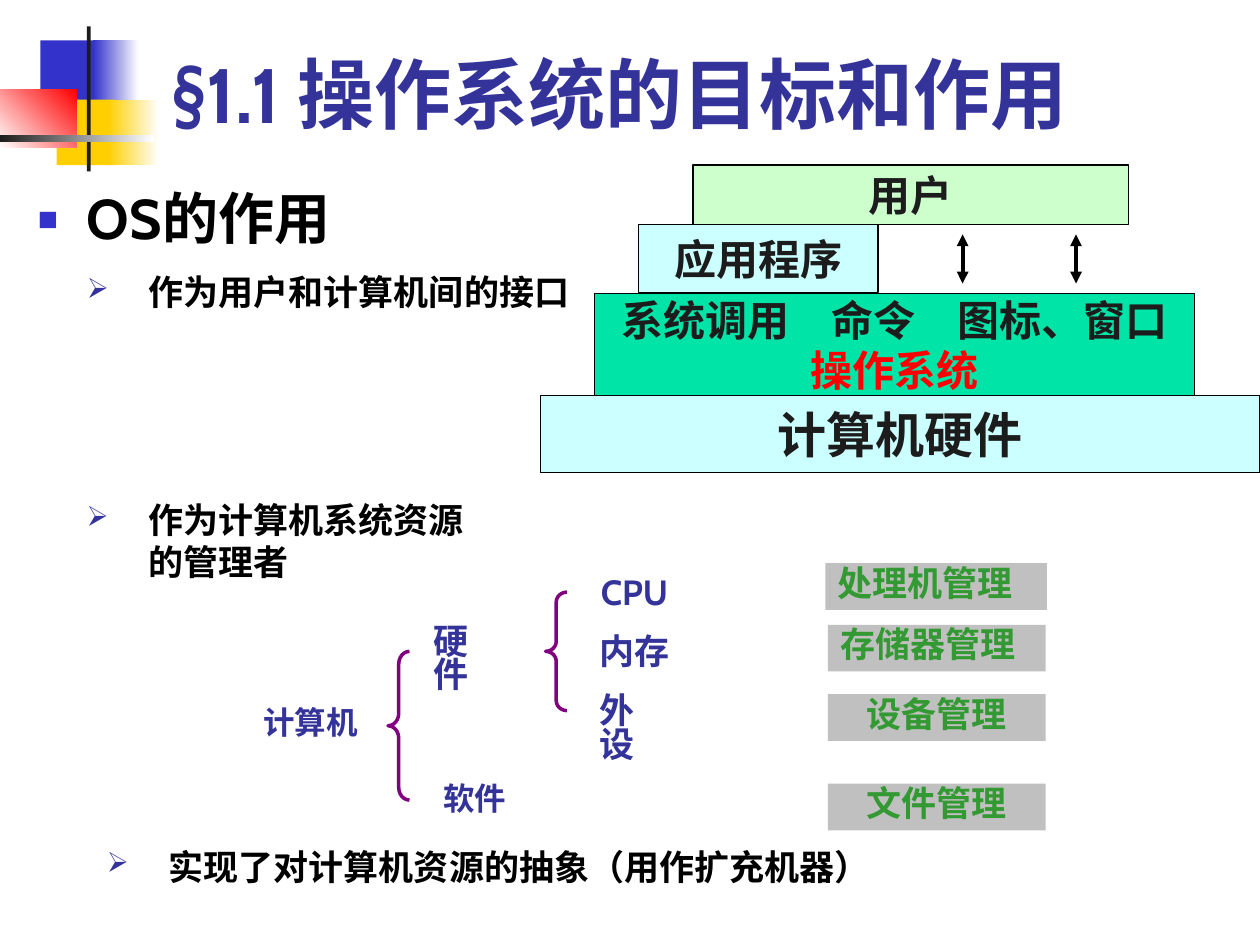
from lxml.etree import SubElement
from pptx import Presentation
from pptx.dml.color import RGBColor
from pptx.enum.shapes import MSO_CONNECTOR, MSO_SHAPE
from pptx.enum.text import MSO_ANCHOR, MSO_AUTO_SIZE, PP_ALIGN
from pptx.oxml.ns import qn
from pptx.util import Inches, Pt

NAVY, GREEN, PURPLE = "333399", "339933", "800080"
BLACK, INK, WHITE, RED = "000000", "1C1C1C", "FFFFFF", "FF0000"
BLUE, YELLOW, GREY, AQUA = "3333CC", "FFCF01", "C0C0C0", "CCFFFF"
FREE = {"auto_size": MSO_AUTO_SIZE.NONE, "word_wrap": True}
GROW = {"auto_size": MSO_AUTO_SIZE.SHAPE_TO_FIT_TEXT, "word_wrap": True}
GROW_UNWRAPPED = {**GROW, "word_wrap": False}
MIDDLE = {**FREE, "word_wrap": False, "vertical_anchor": MSO_ANCHOR.MIDDLE}
LEFT = {"alignment": PP_ALIGN.LEFT, "space_before": Pt(0)}
CENTER = {**LEFT, "alignment": PP_ALIGN.CENTER}
TIGHT = {**LEFT, "line_spacing": 0.8}


def color(value):
    return RGBColor.from_string(value)


def apply(target, formats):
    for name, value in formats.items():
        setattr(target, name, value)


class SlideBuilder:
    font = "Cabin"

    def __init__(self, slide):
        self.slide = slide

    def add_lines(self, holder, lines, size, frame_format, paragraph_format, bullet=None):
        frame = holder.text_frame
        apply(frame, frame_format)
        for index, (text, tint) in enumerate(lines):
            paragraph = frame.add_paragraph() if index else frame.paragraphs[0]
            if bullet:
                self.bullet(paragraph, *bullet)
            apply(paragraph, paragraph_format)
            run = paragraph.add_run()
            run.text = text
            apply(run.font, {"name": self.font, "size": Pt(size), "bold": True})
            run.font.color.rgb = color(tint)

    def bullet(self, paragraph, mark, tint, percent, indent):
        properties = paragraph._p.get_or_add_pPr()
        properties.set("marL", str(Inches(indent)))
        properties.set("indent", str(-Inches(indent)))
        tint_node = SubElement(properties, qn("a:buClr"))
        SubElement(tint_node, qn("a:srgbClr")).set("val", tint)
        SubElement(properties, qn("a:buSzPct")).set("val", str(percent * 1000))
        SubElement(properties, qn("a:buChar")).set("char", mark)

    def placeholder(self, holder, box, *text):
        apply(holder, dict(zip(("left", "top", "width", "height"), map(Inches, box))))
        self.add_lines(holder, *text)

    def text(self, box, *text):
        self.add_lines(self.slide.shapes.add_textbox(*map(Inches, box)), *text)

    def rect(self, box, fill, line=None):
        shape = self.slide.shapes.add_shape(MSO_SHAPE.RECTANGLE, *map(Inches, box))
        shape.shadow.inherit = False
        shape.fill.solid()
        shape.fill.fore_color.rgb = color(fill)
        if line:
            shape.line.color.rgb = color(line)
            shape.line.width = Pt(0.75)
        else:
            shape.line.fill.background()
        return shape

    def gradient(self, box, start, end, angle=0):
        fill = self.rect(box, start).fill
        fill.gradient()
        fill.gradient_angle = angle
        for stop, tint in zip(fill.gradient_stops, (start, end)):
            stop.color.rgb = color(tint)

    def brace(self, box, curl):
        shape = self.slide.shapes.add_shape(MSO_SHAPE.LEFT_BRACE, *map(Inches, box))
        shape.shadow.inherit = False
        shape.adjustments[0] = curl
        shape.fill.background()
        shape.line.color.rgb = color(PURPLE)
        shape.line.width = Pt(2)

    def double_arrow(self, x, top, bottom):
        arrow = self.slide.shapes.add_connector(
            MSO_CONNECTOR.STRAIGHT, Inches(x), Inches(top), Inches(x), Inches(bottom))
        arrow.line.color.rgb = color(BLACK)
        arrow.line.width = Pt(2.25)
        outline = arrow.line._get_or_add_ln()
        for end in ("a:headEnd", "a:tailEnd"):
            SubElement(outline, qn(end)).set("type", "triangle")
        SubElement(arrow._element.spPr, qn("a:effectLst"))


def draw_ornament(builder):
    builder.rect((0.32, 0.32, 0.48, 0.52), BLUE)
    builder.gradient((0.74, 0.32, 0.36, 0.52), BLUE, WHITE)
    builder.rect((0.45, 0.79, 0.46, 0.52), YELLOW)
    builder.gradient((0.86, 0.79, 0.4, 0.52), YELLOW, WHITE)
    builder.gradient((0, 0.71, 0.61, 0.46), WHITE, RED, 45)
    builder.rect((0.69, 0.21, 0.03, 1.15), INK)
    builder.gradient((0, 1.07, 1.22, 0.06), INK, WHITE)


def draw_roles(builder):
    title, body = builder.slide.placeholders
    builder.placeholder(title, (1.26, 0.36, 8.52, 0.79), [("§1.1 操作系统的目标和作用", NAVY)],
                        44, {**FREE, "vertical_anchor": MSO_ANCHOR.BOTTOM}, LEFT)
    builder.placeholder(body, (0.2, 1.47, 4.33, 0.63), [("OS的作用", BLACK)], 32, FREE,
                        {**LEFT, "line_spacing": 0.9}, ("■", BLUE, 60, 0.39))
    for role, box in (
        ("作为用户和计算机间的接口", (0.59, 2.1, 5.31, 0.55)),
        ("作为计算机系统资源的管理者", (0.59, 3.91, 3.23, 0.63)),
        ("实现了对计算机资源的抽象（用作扩充机器）", (0.75, 6.66, 7.87, 0.63)),
    ):
        builder.text(box, [(role, BLACK)], 20, FREE, LEFT, ("➢", NAVY, 80, 0.49))


def draw_resources(builder):
    for resource, box, size, frame_format in (
        ("计算机", (1.99, 5.59, 1.18, 0.34), 18, GROW),
        ("硬件", (3.34, 4.93, 0.75, 0.37), 20, GROW_UNWRAPPED),
        ("软件", (3.42, 6.19, 0.7, 0.34), 18, GROW_UNWRAPPED),
        ("CPU", (4.67, 4.54, 0.76, 0.37), 20, GROW_UNWRAPPED),
        ("内存", (4.66, 5.01, 0.8, 0.37), 20, GROW),
        ("外设", (4.66, 5.48, 0.75, 0.37), 20, GROW_UNWRAPPED),
    ):
        builder.text(box, [(resource, NAVY)], size, frame_format, TIGHT)
    builder.brace((3.08, 5.17, 0.17, 1.18), 0.58)
    builder.brace((4.33, 4.7, 0.17, 0.94), 0.46)
    for manager, left, top, width, alignment in (
        ("处理机管理", 6.55, 4.47, 1.76, PP_ALIGN.LEFT),
        ("存储器管理", 6.57, 4.96, 1.73, PP_ALIGN.LEFT),
        ("设备管理", 6.57, 5.51, 1.73, PP_ALIGN.CENTER),
        ("文件管理", 6.57, 6.22, 1.73, PP_ALIGN.CENTER),
    ):
        builder.add_lines(builder.rect((left, top, width, 0.37), GREY), [(manager, GREEN)], 20,
                          {**GROW, "vertical_anchor": MSO_ANCHOR.TOP},
                          {**TIGHT, "alignment": alignment})


def draw_layers(builder):
    for lines, box, fill, size in (
        ([("用户", INK)], (5.5, 1.31, 3.46, 0.47), "CCFFCC", 24),
        ([("应用程序", INK)], (5.07, 1.78, 1.9, 0.54), AQUA, 24),
        ([("系统调用　命令　图标、窗口", INK), ("操作系统", RED)],
         (4.72, 2.33, 4.76, 0.81), "00E4A8", 24),
        ([("计算机硬件", INK)], (4.29, 3.14, 5.71, 0.61), AQUA, 28),
    ):
        builder.add_lines(builder.rect(box, fill, BLACK), lines, size, MIDDLE, CENTER)
    for x in (7.64, 8.54):
        builder.double_arrow(x, 1.86, 2.25)


def main():
    deck = Presentation()
    apply(deck, {"slide_width": Inches(10), "slide_height": Inches(7.5)})
    builder = SlideBuilder(deck.slides.add_slide(deck.slide_layouts[1]))
    draw_ornament(builder)
    draw_roles(builder)
    draw_resources(builder)
    draw_layers(builder)
    deck.save("out.pptx")


if __name__ == "__main__":
    main()
